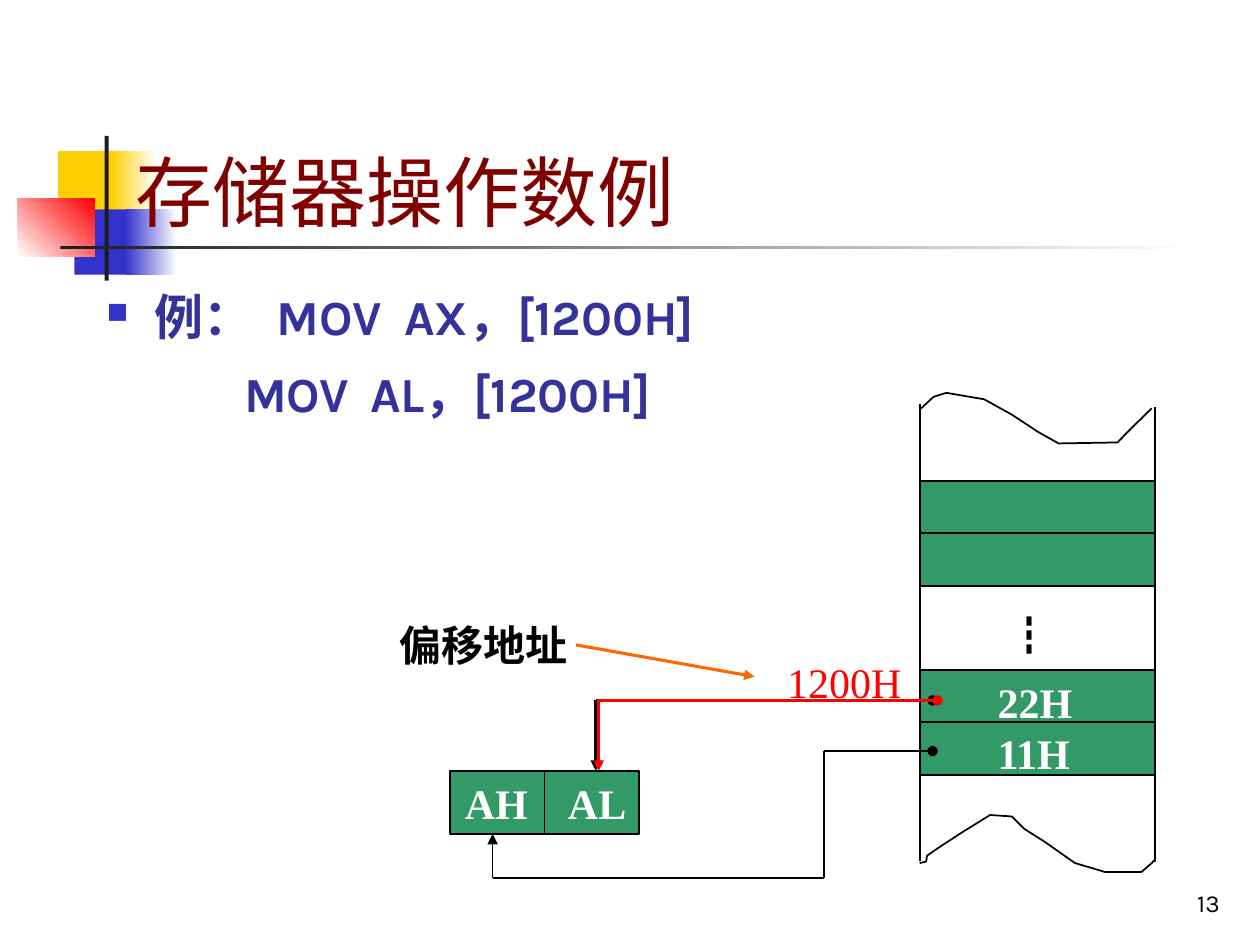
"""Build a slide showing how MOV with a direct address reads memory operands."""
import pptx
import pptx.dml.color
import pptx.enum.shapes
import pptx.enum.text
import pptx.oxml
import pptx.oxml.ns
import pptx.util
from pptx.util import Cm

COLORS = {
    "yellow": "FFCF01", "blue": "3333CC", "red": "FF0000", "white": "FFFFFF",
    "charcoal": "1C1C1C", "black": "000000", "maroon": "800000",
    "navy": "333399", "green": "339966", "orange": "FF6600",
}
RGB = {name: pptx.dml.color.RGBColor.from_string(code) for name, code in COLORS.items()}
ALIGN = pptx.enum.text.PP_ALIGN
ANCHOR = pptx.enum.text.MSO_ANCHOR
NS = pptx.oxml.ns.nsdecls("a")
SERIF = "Times New Roman"
CJK = "Noto Sans CJK SC"

deck = pptx.Presentation()
deck.slide_width, deck.slide_height = Cm(25.4), Cm(19.05)
slide = deck.slides.add_slide(deck.slide_layouts[6])
shapes = slide.shapes


def add_box(left, top, width, height, color, outlined=False):
    box = shapes.add_shape(pptx.enum.shapes.MSO_SHAPE.RECTANGLE,
                           Cm(left), Cm(top), Cm(width), Cm(height))
    box.shadow.inherit = False
    box.fill.solid()
    box.fill.fore_color.rgb = RGB[color]
    if outlined:
        box.line.color.rgb = RGB["black"]
        box.line.width = pptx.util.Pt(1)
    else:
        box.line.fill.background()
    return box


def add_text(left, top, width, height, lines, size, font, color, bold=False, tabs=()):
    box = shapes.add_textbox(Cm(left), Cm(top), Cm(width), Cm(height))
    frame = box.text_frame
    frame.word_wrap = True
    frame.text = lines
    for paragraph, stops in zip(frame.paragraphs, tabs):
        tab_list = pptx.oxml.parse_xml(f"<a:tabLst {NS}/>")
        for stop in stops:
            tab_list.append(pptx.oxml.parse_xml(f'<a:tab {NS} pos="{Cm(stop)}" algn="l"/>'))
        paragraph._p.get_or_add_pPr().append(tab_list)
    for paragraph in frame.paragraphs:
        for run in paragraph.runs:
            run.font.size = pptx.util.Pt(size)
            run.font.name = font
            run.font.bold = bold
            run.font.color.rgb = RGB[color]
            run._r.get_or_add_rPr().append(
                pptx.oxml.parse_xml(f'<a:ea {NS} typeface="{CJK}"/>'))
    return frame


for left, top, width, height, start, end, angle in [
    (1.17, 3.05, 1.22, 1.32, "yellow", None, 0),
    (2.24, 3.05, 0.91, 1.32, "yellow", "white", 0),
    (1.5, 4.22, 1.17, 1.32, "blue", None, 0),
    (2.54, 4.22, 1.02, 1.32, "blue", "white", 0),
    (0.36, 4.01, 1.55, 1.17, "white", "red", 45),
    (2.11, 2.74, 0.08, 2.92, "charcoal", None, 0),
    (1.22, 4.95, 22.86, 0.08, "charcoal", "white", 0),
]:
    ornament = add_box(left, top, width, height, start)
    if end:
        ornament.fill.gradient()
        ornament.fill.gradient_angle = angle
        for stop, color in zip(ornament.fill.gradient_stops, (start, end)):
            stop.color.rgb = RGB[color]

page_number = add_text(19.56, 17.35, 5.28, 1.27, "13", 14, "Karla", "black")
page_number.vertical_anchor = ANCHOR.BOTTOM
page_number.paragraphs[0].alignment = ALIGN.RIGHT

title = add_text(2.49, 1.93, 21.59, 2.97, "存储器操作数例", 44, "Karla", "maroon")
title.vertical_anchor = ANCHOR.BOTTOM

example = add_text(1.9, 5.54, 14.2, 4.19,
                   "例：\tMOV\tAX，[1200H]\nMOV\tAL，[1200H]",
                   28, "Karla", "navy", True, [(3.43, 6.0), (5.36,)])
for paragraph, margin, indent in zip(example.paragraphs, (0.97, 2.77), (-0.97, 0)):
    properties = paragraph._p.get_or_add_pPr()
    properties.set("marL", str(Cm(margin)))
    properties.set("indent", str(Cm(indent)))
    paragraph.line_spacing = 1.1
    paragraph.space_after = pptx.util.Pt(1.4)
example.paragraphs[1].space_before = pptx.util.Pt(5.6)
bullet_tabs = example.paragraphs[0]._p.pPr.find(pptx.oxml.ns.qn("a:tabLst"))
for bullet_part in (
    f'<a:buClr {NS}><a:srgbClr val="{COLORS["blue"]}"/></a:buClr>',
    f'<a:buSzPct {NS} val="60000"/>',
    f'<a:buChar {NS} char="■"/>',
):
    bullet_tabs.addprevious(pptx.oxml.parse_xml(bullet_part))

for block_top in (9.7, 13.51):
    for row in range(2):
        add_box(18.54, block_top + row * 1.05, 4.75, 1.06, "green", True)

top_tear = [(18.54, 8.26), (18.82, 8), (19.08, 7.92), (19.84, 8.05), (20.4, 8.36),
            (20.93, 8.71), (21.34, 8.94), (22.53, 8.92), (22.73, 8.71), (23.22, 8.23)]
bottom_tear = [(18.54, 17.4), (18.67, 17.37), (18.69, 17.25), (18.95, 17.07),
               (19.38, 16.79), (19.96, 16.43), (20.4, 16.46), (20.65, 16.71),
               (21.06, 16.97), (21.67, 17.4), (22.28, 17.58), (23.01, 17.58),
               (23.22, 17.4), (23.29, 17.32)]
for tear in (top_tear, bottom_tear):
    points = [(Cm(x), Cm(y)) for x, y in tear]
    outline = shapes.build_freeform(*points[0])
    outline.add_line_segments(points[1:], close=False)
    edge = outline.convert_to_shape()
    edge.shadow.inherit = False
    edge.fill.background()
    edge.line.color.rgb = RGB["black"]
    edge.line.width = pptx.util.Pt(1)

register = add_box(9.07, 15.54, 3.81, 1.27, "green", True)

for left, top, width, words, font, color, bold in [
    (19.86, 13.51, 2.34, "22H", SERIF, "white", True),
    (19.86, 14.55, 2.34, "11H", SERIF, "white", True),
    (15.62, 13.11, 2.92, "1200H", SERIF, "red", False),
    (7.8, 12.37, 4.88, "偏移地址", SERIF, "black", True),
    (20.09, 12.17, 1.7, "┇", CJK, "black", False),
]:
    add_text(left, top, width, 1.27, words, 24, font, color, bold)
add_text(9.12, 15.54, 4.24, 1.27, "AH\tAL", 24, SERIF, "white", True, [(2.08,)])

for x1, y1, x2, y2, color, weight, tip in [
    (18.54, 8.15, 18.54, 17.35, "black", 1, None),
    (23.29, 8.2, 23.29, 17.37, "black", 1, None),
    (10.97, 15.54, 10.97, 16.81, "black", 1, None),
    (11.61, 13, 15.21, 13.64, "orange", 1.75, "triangle"),
    (16.61, 17.7, 9.93, 17.7, "black", 1.5, None),
    (9.93, 17.7, 9.93, 16.81, "black", 1, "triangle"),
    (12.01, 14.12, 18.8, 14.12, "black", 1.5, "oval"),
    (16.61, 15.14, 18.8, 15.14, "black", 1.5, "oval"),
    (16.61, 15.14, 16.61, 17.7, "black", 1.5, None),
    (12.01, 14.12, 12.01, 15.54, "black", 1.5, "triangle"),
    (12.07, 14.12, 12.07, 15.54, "red", 1.75, "triangle"),
    (12.04, 14.12, 18.9, 14.12, "red", 1.75, "oval"),
]:
    wire = shapes.add_connector(pptx.enum.shapes.MSO_CONNECTOR.STRAIGHT,
                                Cm(x1), Cm(y1), Cm(x2), Cm(y2))
    wire.line.color.rgb = RGB[color]
    wire.line.width = pptx.util.Pt(weight)
    if tip:
        wire.line._get_or_add_ln().append(
            pptx.oxml.parse_xml(f'<a:tailEnd {NS} type="{tip}"/>'))
    wire._element.spPr.append(pptx.oxml.parse_xml(f"<a:effectLst {NS}/>"))
    if (x1, x2) == (10.97, 10.97):
        wire.begin_connect(register, 0)
        wire.end_connect(register, 2)

deck.save("out.pptx")
